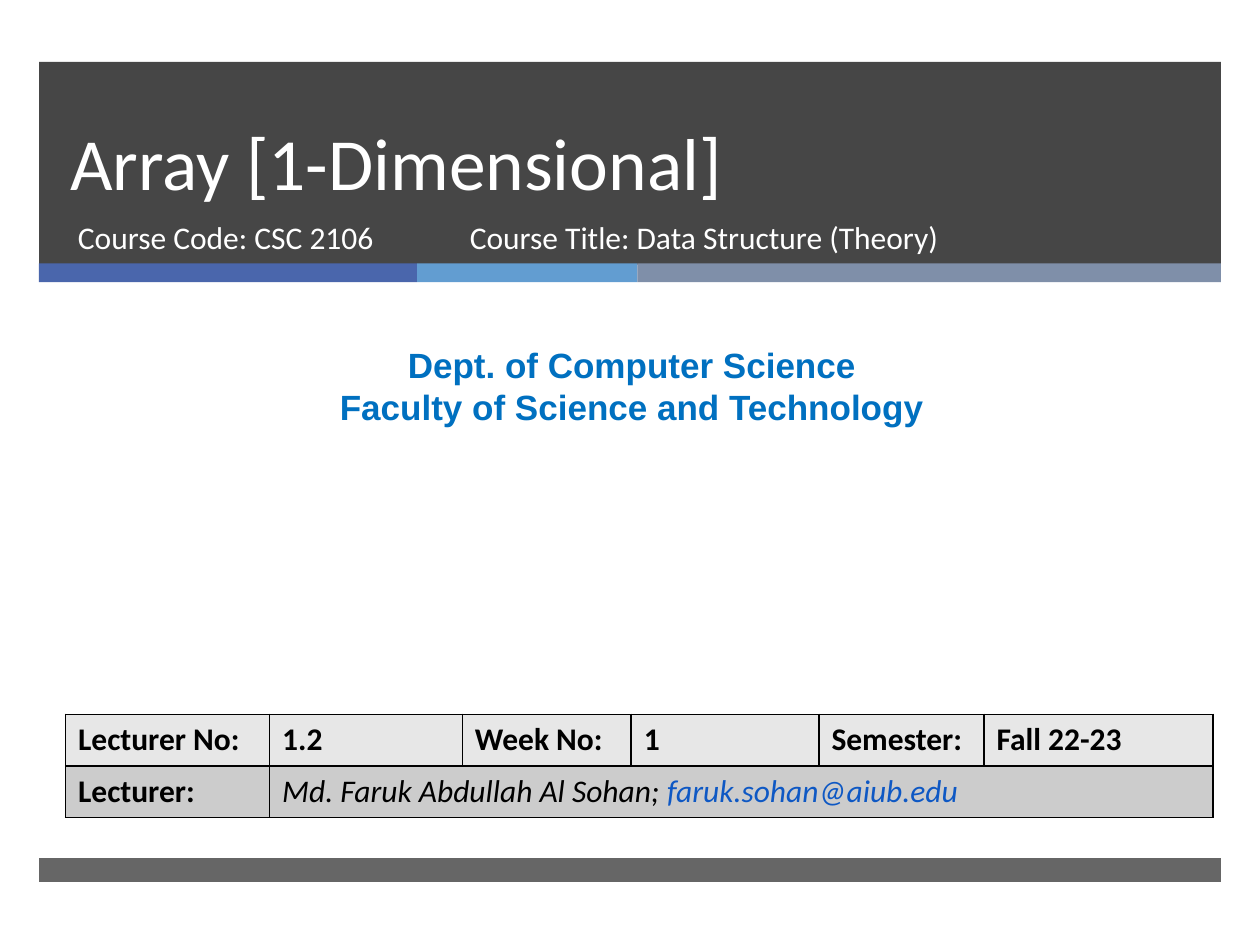
"""Build the title slide of a lecture on one-dimensional arrays."""
from lxml.etree import SubElement
from pptx import Presentation
from pptx.dml.color import RGBColor
from pptx.enum.shapes import MSO_SHAPE
from pptx.enum.text import MSO_ANCHOR, PP_ALIGN
from pptx.oxml.ns import qn
from pptx.util import Inches, Pt

THEME = {
    "dark": "262626", "accents": ("4A66AC", "629DD1", "7F8FA9"),
    "light": "FFFFFF", "text": "000000", "department": "0070C0", "link": "0E58C4",
    "rows": ("E7E7E7", "CCCCCC"), "border": "000000",
    "body_font": "Calibri", "department_font": "Arial",
    "title_size": 42, "title_spacing": 46, "department_size": 20, "body_size": 18,
}

TITLE = "Array [1-Dimensional]"
COURSE = [("Course Code: CSC 2106", 0.52, 3.05),
          ("Course Title: Data Structure (Theory)", 3.63, 4.55)]
DEPARTMENT = "Dept. of Computer Science\nFaculty of Science and Technology"
DETAILS = ["Lecturer No:", "1.2", "Week No:", "1", "Semester:", "Fall 22-23"]
LECTURER_LABEL = "Lecturer:"
LECTURER, EMAIL = "Md. Faruk Abdullah Al Sohan; ", "faruk.sohan@aiub.edu"

MARGIN, BAND_WIDTH = 0.31, 9.38
STRIPE_WIDTHS = (3, 1.75, 4.63)
COLUMN_WIDTHS = (1.62, 1.53, 1.34, 1.49, 1.31, 1.82)
ROW_HEIGHT = 0.41


def color(name):
    return RGBColor.from_string(name)


def add_band(slide, left, top, width, height, fill, opacity=100):
    shape = slide.shapes.add_shape(
        MSO_SHAPE.RECTANGLE, Inches(left), Inches(top), Inches(width), Inches(height))
    shape.shadow.inherit = False
    shape.line.fill.background()
    shape.fill.solid()
    shape.fill.fore_color.rgb = color(fill)
    if opacity < 100:
        fill_color = shape.fill._xPr.find(".//" + qn("a:srgbClr"))
        SubElement(fill_color, qn("a:alpha"), val=str(opacity * 1000))


def format_runs(paragraph, size, fill, font=THEME["body_font"], bold=False, italic=False):
    for run in paragraph.runs:
        run.font.name = font
        run.font.size = Pt(size)
        run.font.color.rgb = color(fill)
        run.font.bold = bold
        run.font.italic = italic


def add_text(slide, text, left, top, width, height, size, fill, font=THEME["body_font"],
             bold=False, align=PP_ALIGN.LEFT, anchor=MSO_ANCHOR.TOP, spacing=None):
    box = slide.shapes.add_textbox(Inches(left), Inches(top), Inches(width), Inches(height))
    text_frame = box.text_frame
    text_frame.word_wrap = True
    text_frame.vertical_anchor = anchor
    text_frame.text = text
    for paragraph in text_frame.paragraphs:
        paragraph.alignment = align
        if spacing:
            paragraph.line_spacing = Pt(spacing)
        format_runs(paragraph, size, fill, font, bold)


def style_cell(cell, fill):
    properties = cell._tc.get_or_add_tcPr()
    for side in ("a:lnL", "a:lnR", "a:lnT", "a:lnB"):
        line = SubElement(properties, qn(side), w=str(Pt(1)))
        solid = SubElement(line, qn("a:solidFill"))
        SubElement(solid, qn("a:srgbClr"), val=THEME["border"])
    cell.fill.solid()
    cell.fill.fore_color.rgb = color(fill)


def add_details(slide):
    table = slide.shapes.add_table(
        2, len(COLUMN_WIDTHS), Inches(0.52), Inches(5.67),
        Inches(sum(COLUMN_WIDTHS)), Inches(2 * ROW_HEIGHT)).table
    for column, width in zip(table.columns, COLUMN_WIDTHS):
        column.width = Inches(width)
    for row, fill in zip(table.rows, THEME["rows"]):
        row.height = Inches(ROW_HEIGHT)
        for cell in row.cells:
            style_cell(cell, fill)
    table.cell(1, 1).merge(table.cell(1, len(COLUMN_WIDTHS) - 1))

    labels = [(0, index, text) for index, text in enumerate(DETAILS)]
    for row, column, text in labels + [(1, 0, LECTURER_LABEL)]:
        cell = table.cell(row, column)
        cell.text_frame.text = text
        format_runs(cell.text_frame.paragraphs[0], THEME["body_size"], THEME["text"], bold=True)

    paragraph = table.cell(1, 1).text_frame.paragraphs[0]
    paragraph.text = LECTURER
    email = paragraph.add_run()
    email.text = EMAIL
    format_runs(paragraph, THEME["body_size"], THEME["text"], italic=True)
    email.font.color.rgb = color(THEME["link"])


def main():
    presentation = Presentation()
    presentation.slide_width, presentation.slide_height = Inches(10), Inches(7.5)
    slide = presentation.slides.add_slide(presentation.slide_layouts[6])

    add_band(slide, MARGIN, 0.49, BAND_WIDTH, 1.61, THEME["dark"], 85)
    left = MARGIN
    for width, fill in zip(STRIPE_WIDTHS, THEME["accents"]):
        add_band(slide, left, 2.09, width, 0.15, fill)
        left += width
    add_band(slide, MARGIN, 6.81, BAND_WIDTH, 0.19, THEME["dark"], 70)

    add_text(slide, TITLE, 0.46, 0.49, 8.54, 1.19, THEME["title_size"], THEME["light"],
             anchor=MSO_ANCHOR.BOTTOM, spacing=THEME["title_spacing"])
    for text, left, width in COURSE:
        add_text(slide, text, left, 1.68, width, 0.53, THEME["body_size"], THEME["light"])
    add_text(slide, DEPARTMENT, 0.08, 2.68, 9.87, 0.77, THEME["department_size"],
             THEME["department"], THEME["department_font"], bold=True, align=PP_ALIGN.CENTER)
    add_details(slide)
    presentation.save("out.pptx")


if __name__ == "__main__":
    main()
